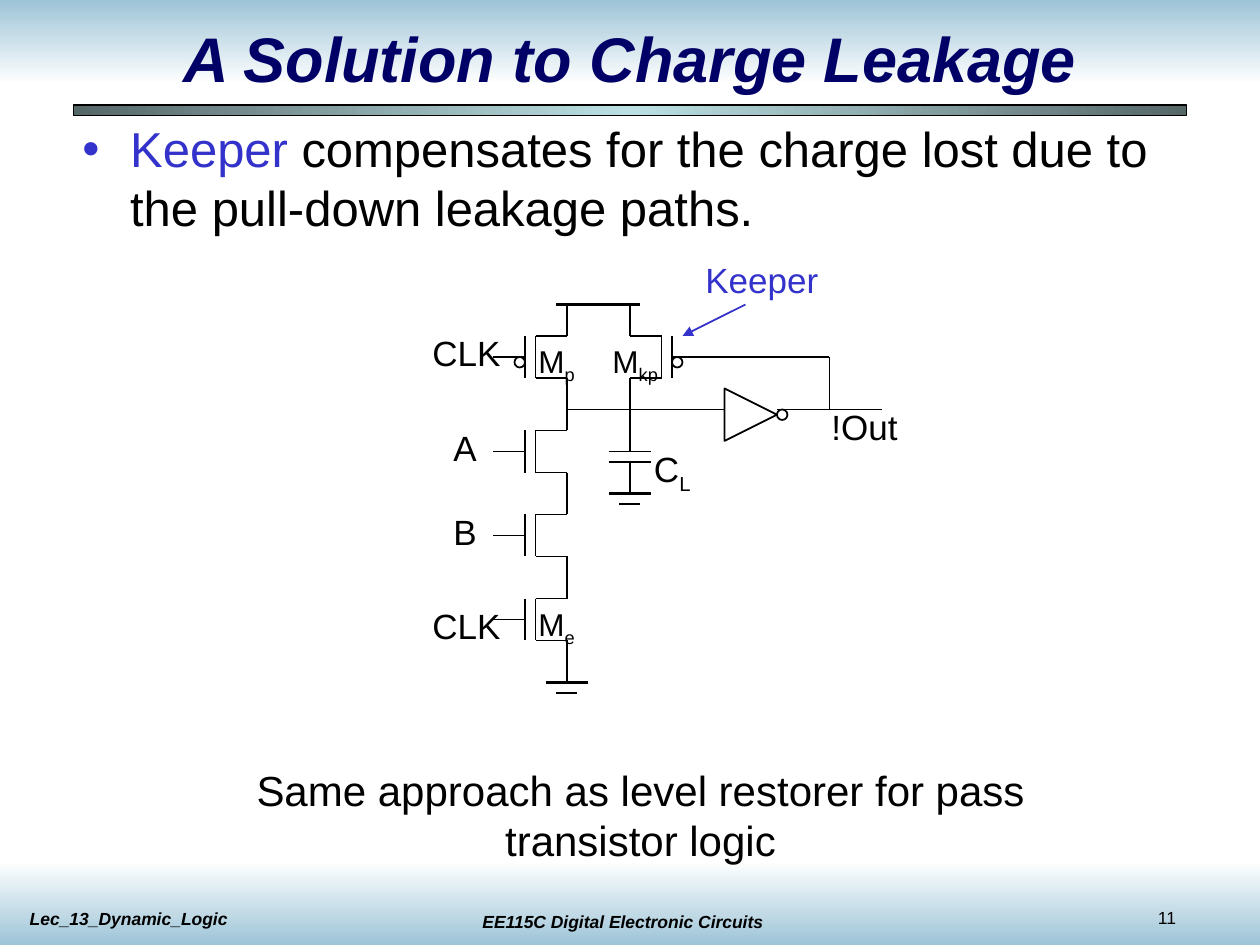
from dataclasses import dataclass

import pptx
import pptx.dml.color
import pptx.enum.dml
import pptx.enum.shapes
import pptx.enum.text
import pptx.oxml
import pptx.oxml.ns
import pptx.util
from lxml import etree

Inches, Pt = pptx.util.Inches, pptx.util.Pt
RGBColor = pptx.dml.color.RGBColor
SHAPES = pptx.enum.shapes.MSO_SHAPE
ALIGN = pptx.enum.text.PP_ALIGN
AUTO_SIZE = pptx.enum.text.MSO_AUTO_SIZE
COLUMNS, ROWS = 120, 90  # twelve grid units to the inch


@dataclass(frozen=True)
class Theme:
    font: str = "Arial"
    ink: str = "000000"
    title: str = "000066"
    accent: str = "3333CC"
    band: str = "9DC4D7"
    paper: str = "FFFFFF"
    rule_edge: str = "566768"
    rule_center: str = "BBE0E3"
    title_size: int = 36
    body_size: int = 28
    caption_size: int = 24
    label_size: int = 20
    device_size: int = 18
    footer_size: int = 10
    wire: float = 1
    rail: float = 2.25


THEME = Theme()


@dataclass(frozen=True)
class Label:
    text: str
    left: float
    top: float
    width: float
    height: float = 5.25
    subscript: str = ""
    size: int = THEME.label_size
    color: str = THEME.ink
    align: ALIGN = ALIGN.LEFT
    wrap: bool = False
    bold_italic: bool = False
    space_before: float = 0


@dataclass(frozen=True)
class Transistor:
    drain: float
    top: float
    side: int = -1  # -1 puts the gate on the left, 1 on the right
    inverted: bool = False


TRANSISTORS = [
    Transistor(54, 32, inverted=True),
    Transistor(54, 41),
    Transistor(54, 49),
    Transistor(54, 57),
    Transistor(60, 32, side=1, inverted=True),
]

# x1, y1, x2, y2
OUTPUT_WIRES = [(54, 39, 69, 39), (74, 39, 84, 39), (66, 34, 79, 34), (79, 34, 79, 39)]
CAPACITOR = [(60, 39, 60, 43), (58, 43, 62, 43), (58, 44, 62, 44)]

LABELS = [
    Label("C", 61.1, 42, 5.9, 5.75, subscript="L"),
    Label("CLK", 40, 57, 8.9),
    Label("CLK", 40, 31, 8.9),
    Label("M", 50.1, 57, 5.9, subscript="e", size=THEME.device_size),
    Label("M", 50.1, 32, 5.9, subscript="p", size=THEME.device_size),
    Label("M", 57.15, 32, 6.7, subscript="kp", size=THEME.device_size),
    Label("A", 42, 40, 4.5),
    Label("B", 42, 48, 4.5),
    Label("!Out", 78, 38, 9.2),
    Label("Keeper", 66, 24, 13.2, color=THEME.accent),
    Label("Same approach as level restorer for pass transistor logic", 17, 72.2, 88, 10.8,
          size=THEME.caption_size, align=ALIGN.CENTER, wrap=True),
    Label("EE115C Digital Electronic Circuits", 42.3, 86.2, 34, 3.25, size=THEME.footer_size,
          align=ALIGN.CENTER, wrap=True, bold_italic=True, space_before=6.2),
    Label("Lec_13_Dynamic_Logic", 1.65, 85.85, 34, 3.25, size=THEME.footer_size,
          wrap=True, bold_italic=True, space_before=6.2),
    Label("11", 109.1, 85.8, 10, 3.25, size=THEME.footer_size),
]


def grid(units: float) -> int:
    return Inches(units / 12)


def rgb(color: str) -> RGBColor:
    return RGBColor.from_string(color)


def set_font(font, size: int, color: str, bold_italic: bool = False) -> None:
    font.name, font.size = THEME.font, Pt(size)
    font.bold = font.italic = bold_italic
    font.color.rgb = rgb(color)


def add_line(slide, x1: float, y1: float, x2: float, y2: float,
             width: float = THEME.wire, color: str = THEME.ink):
    line = slide.shapes.add_connector(
        pptx.enum.shapes.MSO_CONNECTOR.STRAIGHT, grid(x1), grid(y1), grid(x2), grid(y2))
    line.line.width, line.line.color.rgb = Pt(width), rgb(color)
    etree.SubElement(line._element.spPr, pptx.oxml.ns.qn("a:effectLst"))
    return line


def add_outline(slide, kind: SHAPES, left: float, top: float, size: float, rotation: float = 0) -> None:
    shape = slide.shapes.add_shape(kind, grid(left), grid(top), grid(size), grid(size))
    shape.shadow.inherit = False
    shape.rotation = rotation
    shape.fill.background()
    shape.line.width, shape.line.color.rgb = Pt(THEME.wire), rgb(THEME.ink)


def add_gradient_bar(slide, left: float, top: float, width: float, height: float,
                     colors: list[str], angle: int, outlined: bool = False) -> None:
    """Spread the colours evenly; the angle runs counter-clockwise."""
    shape = slide.shapes.add_shape(SHAPES.RECTANGLE, grid(left), grid(top), grid(width), grid(height))
    shape.shadow.inherit = False
    shape.fill.gradient()
    shape.fill.gradient_angle = angle
    stops = shape._element.xpath(".//a:gsLst")[0]
    for stop in list(stops):
        stops.remove(stop)
    for index, color in enumerate(colors):
        position = 100000 * index // (len(colors) - 1)
        stop = etree.SubElement(stops, pptx.oxml.ns.qn("a:gs"), pos=str(position))
        etree.SubElement(stop, pptx.oxml.ns.qn("a:srgbClr"), val=color)
    if outlined:
        shape.line.width, shape.line.color.rgb = Pt(0.75), rgb(THEME.ink)
    else:
        shape.line.fill.background()


def add_label(slide, label: Label) -> None:
    box = slide.shapes.add_textbox(grid(label.left), grid(label.top), grid(label.width), grid(label.height))
    frame = box.text_frame
    frame.word_wrap, frame.auto_size = label.wrap, AUTO_SIZE.SHAPE_TO_FIT_TEXT
    paragraph = frame.paragraphs[0]
    paragraph.alignment, paragraph.space_before = label.align, Pt(label.space_before)
    set_font(paragraph.font, label.size, label.color, label.bold_italic)
    paragraph.add_run().text = label.text
    if label.subscript:
        subscript = paragraph.add_run()
        subscript.text = label.subscript
        subscript._r.get_or_add_rPr().set("baseline", "-25000")


def add_transistor(slide, transistor: Transistor) -> None:
    drain, top, side = transistor.drain, transistor.top, transistor.side
    channel, gate, lead = (drain + side * offset for offset in (3, 4, 7))
    bottom, middle = top + 4, top + 2
    for wire in [
        (channel, top, drain, top), (channel, top, channel, bottom), (channel, bottom, drain, bottom),
        (gate, top, gate, bottom), (lead, middle, gate, middle),
        (drain, top - 3, drain, top), (drain, bottom, drain, bottom + 3),
    ]:
        add_line(slide, *wire)
    if transistor.inverted:
        add_outline(slide, SHAPES.OVAL, min(gate, gate + side), middle, 1)


def add_ground(slide, center: float, top: float) -> None:
    add_line(slide, center, top, center, top + 3)
    add_line(slide, center - 2, top + 3, center + 2, top + 3, THEME.rail)
    add_line(slide, center - 1, top + 4, center + 1, top + 4)


def format_title(slide) -> None:
    title = slide.shapes.title
    title.left, title.top, title.width, title.height = map(grid, (9, 2, 102, 7))
    frame = title.text_frame
    frame.text = "A Solution to Charge Leakage"
    frame.auto_size = AUTO_SIZE.NONE
    frame.vertical_anchor = pptx.enum.text.MSO_ANCHOR.MIDDLE
    frame.paragraphs[0].alignment = ALIGN.CENTER
    set_font(frame.paragraphs[0].font, THEME.title_size, THEME.title, bold_italic=True)


def add_bullet(slide) -> None:
    frame = slide.shapes.add_textbox(grid(7), grid(10.95), grid(107), grid(11.9)).text_frame
    frame.word_wrap, frame.auto_size = True, AUTO_SIZE.SHAPE_TO_FIT_TEXT
    frame.margin_left = frame.margin_right = Inches(0.07)
    frame.margin_top = frame.margin_bottom = Inches(0.03)
    paragraph = frame.paragraphs[0]
    paragraph.space_before = Pt(10.5)
    properties = paragraph._p.get_or_add_pPr()
    properties.set("marL", str(Inches(0.38)))
    properties.set("indent", str(-Inches(0.38)))
    bullet_color = etree.SubElement(properties, pptx.oxml.ns.qn("a:buClr"))
    etree.SubElement(bullet_color, pptx.oxml.ns.qn("a:srgbClr"), val=THEME.accent)
    etree.SubElement(properties, pptx.oxml.ns.qn("a:buFont"), typeface=THEME.font)
    etree.SubElement(properties, pptx.oxml.ns.qn("a:buChar"), char="•")
    set_font(paragraph.font, THEME.body_size, THEME.ink)
    for text, color in [("Keeper", THEME.accent),
                        (" compensates for the charge lost due to the pull-down leakage paths.", THEME.ink)]:
        run = paragraph.add_run()
        run.text = text
        run.font.color.rgb = rgb(color)


def add_circuit(slide) -> None:
    for transistor in TRANSISTORS:
        add_transistor(slide, transistor)
    add_line(slide, 53, 29, 61, 29, THEME.rail)
    for wire in OUTPUT_WIRES + CAPACITOR:
        add_line(slide, *wire)
    add_outline(slide, SHAPES.ISOSCELES_TRIANGLE, 69, 37, 5, rotation=90)
    add_outline(slide, SHAPES.OVAL, 74, 39, 1)
    add_ground(slide, 60, 44)
    add_ground(slide, 54, 62)
    pointer = add_line(slide, 71, 29, 65, 32, color=THEME.accent)
    etree.SubElement(pointer.line._get_or_add_ln(), pptx.oxml.ns.qn("a:tailEnd"), type="triangle")


def main() -> None:
    presentation = pptx.Presentation()
    presentation.slide_width, presentation.slide_height = grid(COLUMNS), grid(ROWS)
    slide = presentation.slides.add_slide(presentation.slide_layouts[5])
    add_gradient_bar(slide, 0, 0, COLUMNS, 8, [THEME.band, THEME.paper], 270)
    add_gradient_bar(slide, 0, ROWS - 8, COLUMNS, 8, [THEME.paper, THEME.band], 270)
    add_gradient_bar(slide, 7, 10, 106, 1, [THEME.rule_edge, THEME.rule_center, THEME.rule_edge], 180, True)
    # The title lies above the bands.
    slide.shapes._spTree.append(slide.shapes.title._element)
    format_title(slide)
    add_circuit(slide)
    for label in LABELS:
        add_label(slide, label)
    add_bullet(slide)
    presentation.save("out.pptx")


if __name__ == "__main__":
    main()
